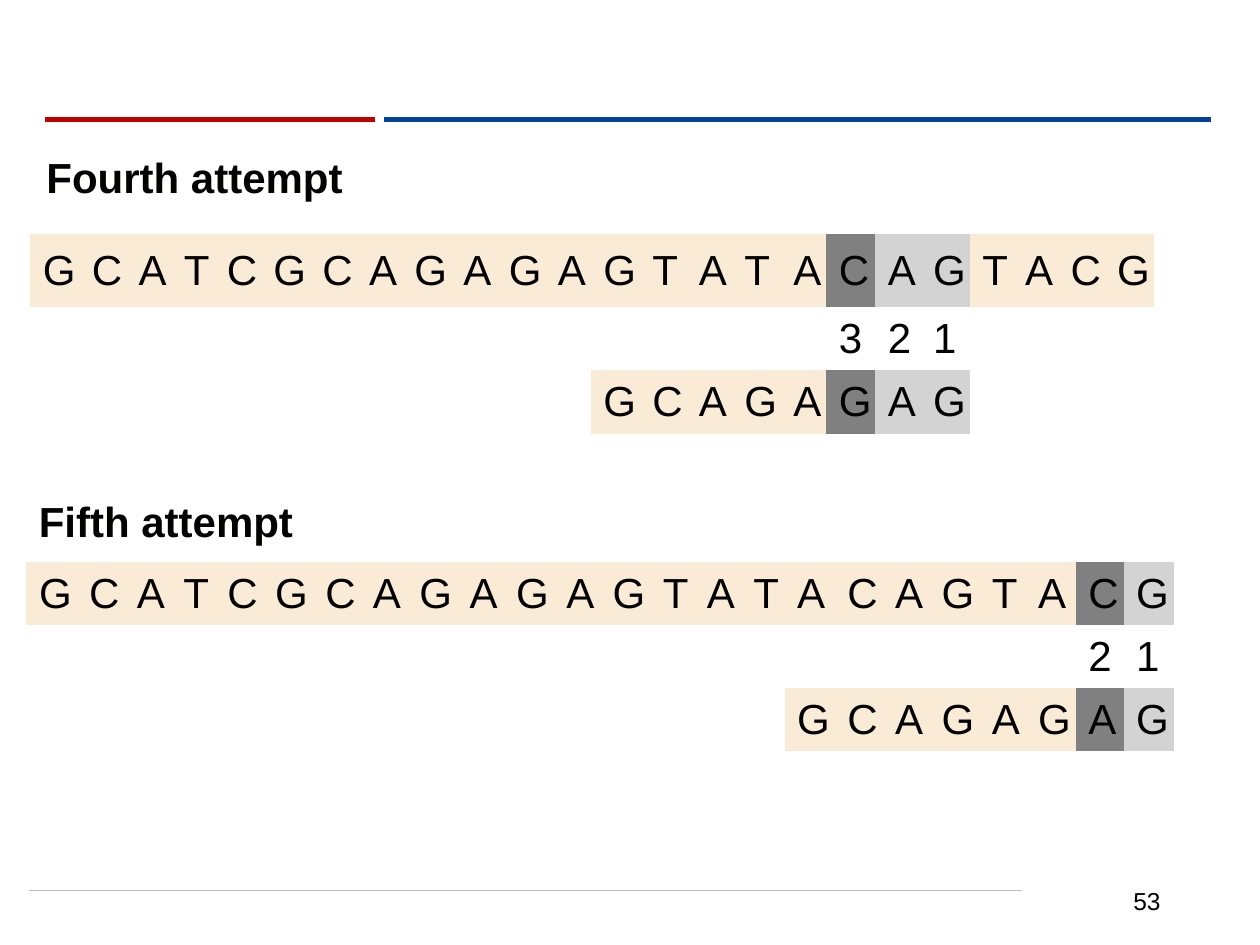
from lxml import etree
from pptx import Presentation
from pptx.dml.color import RGBColor
from pptx.enum import shapes, text
from pptx.oxml import ns
from pptx.util import Inches, Pt

BLACK = RGBColor(0x00, 0x00, 0x00)
HEADING = RGBColor(0x03, 0x03, 0x01)
WHITE = RGBColor(0xFF, 0xFF, 0xFF)
BEIGE = RGBColor(0xFA, 0xEB, 0xD7)
MISMATCH = RGBColor(0x80, 0x80, 0x80)
MATCH = RGBColor(0xD3, 0xD3, 0xD3)
RED = RGBColor(0xC0, 0x00, 0x00)
BLUE = RGBColor(0x00, 0x42, 0x99)
SILVER = RGBColor(0xBF, 0xBF, 0xBF)

SEQUENCE = "GCATCGCAGAGAGTATACAGTACG"
PATTERN = "GCAGAGAG"
NO_STYLE = "{2D5ABB26-0587-4C30-8999-92F81FD0307C}"
LETTER_WIDTHS = {"G": 0.4, "C": 0.38, "A": 0.37, "T": 0.35}

prs = Presentation()
prs.slide_width, prs.slide_height = Inches(10), Inches(7.5)
s = prs.slides.add_slide(prs.slide_layouts[6])


def style(p, size, color, bold=False):
    for r in p.runs:
        r.font.name = "Arial"
        r.font.size = Pt(size)
        r.font.bold = bold
        r.font.color.rgb = color


def add_label(label, x, y, w, h, size, color, bold, align):
    tf = s.shapes.add_textbox(Inches(x), Inches(y), Inches(w), Inches(h)).text_frame
    tf.word_wrap = True
    tf.vertical_anchor = text.MSO_ANCHOR.MIDDLE
    p = tf.paragraphs[0]
    p.text = label
    p.alignment = align
    style(p, size, color, bold)


for x1, x2, y, color, weight in [
    (0.23, 8.11, 7.07, SILVER, 0.5),
    (3.05, 9.61, 0.95, BLUE, 3),
    (0.36, 2.98, 0.95, RED, 3),
]:
    sp = s.shapes.add_connector(
        shapes.MSO_CONNECTOR.STRAIGHT, Inches(x1), Inches(y), Inches(x2), Inches(y)
    )
    sp.line.color.rgb = color
    sp.line.width = Pt(weight)
    etree.SubElement(sp.element.spPr, ns.qn("a:effectLst"))

add_label("53", 7.06, 6.95, 2.25, 0.4, 14, BLACK, False, text.PP_ALIGN.RIGHT)

attempts = [
    ("Fifth attempt", (0.21, 3.88, 2.26), (0.21, 4.46, 9.11), (0.5, 0.5, 0.5), 16, 2),
    ("Fourth attempt", (0.27, 1.15, 2.59), (0.24, 1.86, 8.92), (0.58, 0.5, 0.5), 12, 3),
]
for title, (tx, ty, tw), (x, y, w), heights, shift, compared in attempts:
    add_label(title, tx, ty, tw, 0.5, 24, HEADING, True, text.PP_ALIGN.LEFT)

    end = shift + len(PATTERN)
    mismatch = end - compared
    counts = "".join(str(n) for n in range(compared, 0, -1))
    rows = [
        row.ljust(len(SEQUENCE))
        for row in (SEQUENCE, " " * mismatch + counts, " " * shift + PATTERN)
    ]
    widths = [max(LETTER_WIDTHS.get(c, 0) for c in column) for column in zip(*rows)]

    table = s.shapes.add_table(
        3, len(SEQUENCE), Inches(x), Inches(y), Inches(w), Inches(sum(heights))
    ).table
    table.first_row = table.horz_banding = False
    table._tbl.tblPr.find(ns.qn("a:tableStyleId")).text = NO_STYLE
    for column, width in zip(table.columns, widths):
        column.width = Inches(width * w / sum(widths))
    for row, height in zip(table.rows, heights):
        row.height = Inches(height)

    for i, row in enumerate(rows):
        for j, letter in enumerate(row):
            cell = table.cell(i, j)
            cell.vertical_anchor = text.MSO_ANCHOR.MIDDLE
            cell.margin_right = 0
            cell.fill.solid()
            if i == 1 or letter == " ":
                color = WHITE
            elif j == mismatch:
                color = MISMATCH
            elif mismatch < j < end:
                color = MATCH
            else:
                color = BEIGE
            cell.fill.fore_color.rgb = color
            if letter != " ":
                p = cell.text_frame.paragraphs[0]
                p.text = letter
                style(p, 24, BLACK)

    for i, first in ((1, mismatch), (2, shift)):
        table.cell(i, 0).merge(table.cell(i, first - 1))
        if end < len(SEQUENCE):
            table.cell(i, end).merge(table.cell(i, len(SEQUENCE) - 1))

prs.save("out.pptx")
